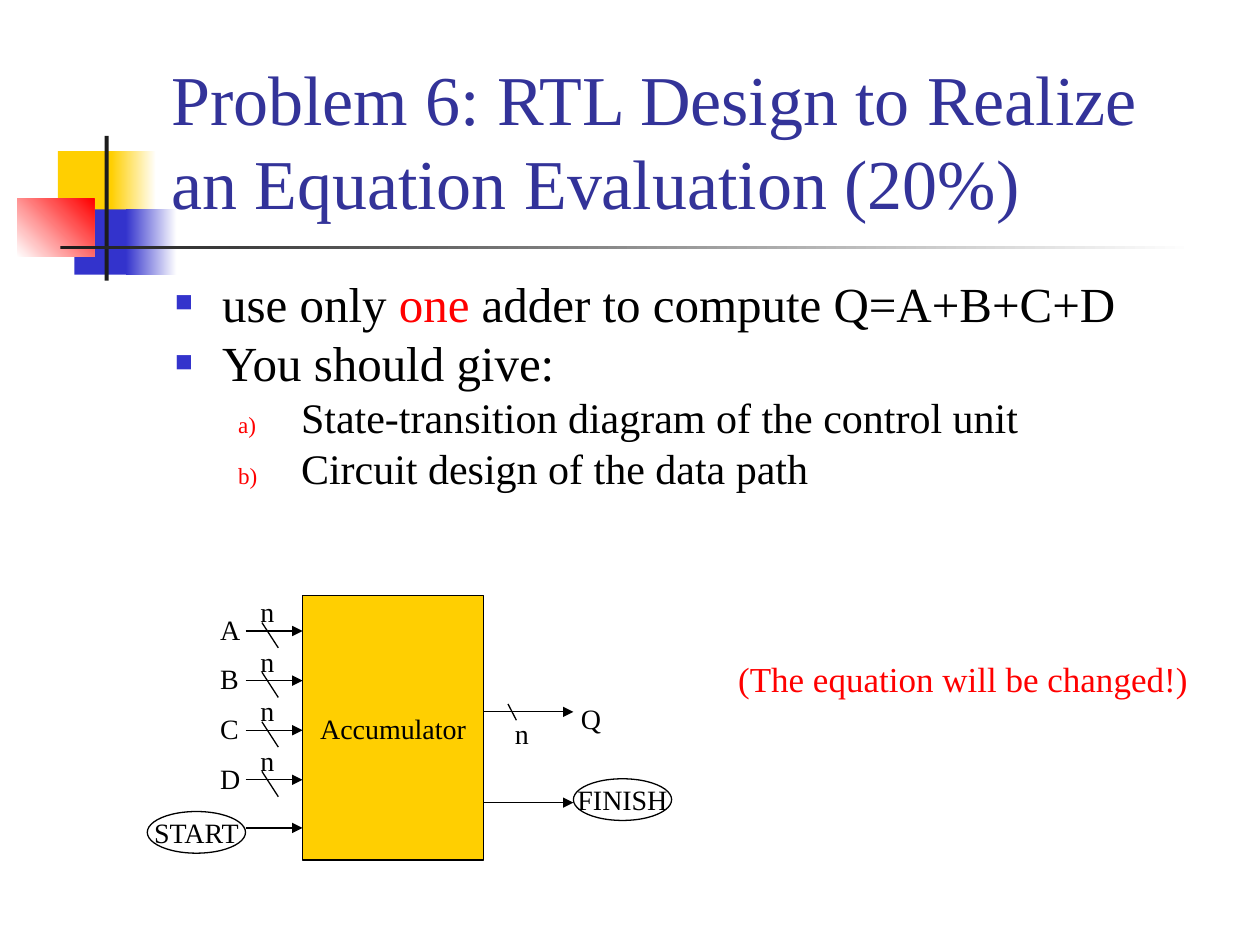
from lxml import etree
from pptx import Presentation
from pptx.dml.color import RGBColor
from pptx.enum.shapes import MSO_CONNECTOR, MSO_SHAPE
from pptx.enum.text import MSO_ANCHOR, PP_ALIGN
from pptx.oxml.ns import qn
from pptx.util import Cm, Pt

RECTANGLE, OVAL = MSO_SHAPE.RECTANGLE, MSO_SHAPE.OVAL
STRAIGHT = MSO_CONNECTOR.STRAIGHT
TOP, MIDDLE, BOTTOM = MSO_ANCHOR.TOP, MSO_ANCHOR.MIDDLE, MSO_ANCHOR.BOTTOM
CENTER = PP_ALIGN.CENTER

FONT = "Times New Roman"
BLACK = RGBColor(0x00, 0x00, 0x00)
WHITE = RGBColor(0xFF, 0xFF, 0xFF)
CHARCOAL = RGBColor(0x1C, 0x1C, 0x1C)
YELLOW = RGBColor(0xFF, 0xCF, 0x01)
BLUE = RGBColor(0x33, 0x33, 0xCC)
NAVY = RGBColor(0x33, 0x33, 0x99)
RED = RGBColor(0xFF, 0x00, 0x00)

BLOCK_LEFT, BLOCK_RIGHT = 6.1, 9.75
FIRST_INPUT_Y, INPUT_STEP = 12.72, 1.0
SUM_Y, START_Y, FINISH_Y = 14.35, 16.69, 16.18
WIRE_LEFT, WIRE_RIGHT = 4.95, 11.56
OVAL_WIDTH, OVAL_HEIGHT = 1.98, 0.84


def add_run(paragraph, text, size, color):
    run = paragraph.add_run()
    run.text = text
    run.font.name = FONT
    run.font.size = Pt(size)
    run.font.color.rgb = color


def add_panel(shapes, left, top, width, height, colors, angle=0):
    """Borderless rectangle, solid for one colour and graded for two."""
    panel = shapes.add_shape(RECTANGLE, Cm(left), Cm(top), Cm(width), Cm(height))
    panel.shadow.inherit = False
    panel.line.fill.background()
    if len(colors) == 1:
        panel.fill.solid()
        panel.fill.fore_color.rgb = colors[0]
        return
    panel.fill.gradient()
    panel.fill.gradient_angle = angle
    for stop, color in zip(panel.fill.gradient_stops, colors):
        stop.color.rgb = color


def add_text_box(shapes, left, top, width, height, wrap=True, anchor=TOP):
    box = shapes.add_textbox(Cm(left), Cm(top), Cm(width), Cm(height))
    frame = box.text_frame
    frame.word_wrap = wrap
    frame.vertical_anchor = anchor
    return frame


def add_label(shapes, text, left, top, width=0.9, height=0.94, size=16, color=BLACK):
    frame = add_text_box(shapes, left, top, width, height, wrap=False)
    add_run(frame.paragraphs[0], text, size, color)


def add_block(shapes, preset, text, left, top, width, height, fill=None):
    """Outlined shape of the diagram with a centred caption."""
    block = shapes.add_shape(preset, Cm(left), Cm(top), Cm(width), Cm(height))
    block.shadow.inherit = False
    if fill is None:
        block.fill.background()
    else:
        block.fill.solid()
        block.fill.fore_color.rgb = fill
    block.line.color.rgb = BLACK
    block.line.width = Pt(0.75)
    frame = block.text_frame
    frame.word_wrap = False
    frame.vertical_anchor = MIDDLE
    frame.paragraphs[0].alignment = CENTER
    add_run(frame.paragraphs[0], text, 16, BLACK)


def add_line(shapes, x1, y1, x2, y2, arrow=False):
    line = shapes.add_connector(STRAIGHT, Cm(x1), Cm(y1), Cm(x2), Cm(y2))
    line.line.color.rgb = BLACK
    line.line.width = Pt(0.75)
    if arrow:
        outline = line.line._get_or_add_ln()
        etree.SubElement(outline, qn("a:tailEnd"), type="triangle")
    etree.SubElement(line._element.spPr, qn("a:effectLst"))


def add_bullet(paragraph, color, percent, margin, hanging, tag, **marker):
    properties = paragraph._p.get_or_add_pPr()
    properties.set("marL", str(Cm(margin)))
    properties.set("indent", str(-Cm(hanging)))
    bullet_color = etree.SubElement(properties, qn("a:buClr"))
    etree.SubElement(bullet_color, qn("a:srgbClr"), val=str(color))
    etree.SubElement(properties, qn("a:buSzPct"), val=str(percent * 1000))
    etree.SubElement(properties, qn("a:buFont"), typeface=FONT)
    etree.SubElement(properties, qn(tag), **marker)


def add_decoration(shapes):
    add_panel(shapes, 1.17, 3.05, 1.22, 1.32, [YELLOW])
    add_panel(shapes, 2.24, 3.05, 0.91, 1.32, [YELLOW, WHITE])
    add_panel(shapes, 1.5, 4.22, 1.17, 1.32, [BLUE])
    add_panel(shapes, 2.54, 4.22, 1.02, 1.32, [BLUE, WHITE])
    add_panel(shapes, 0.35, 4.01, 1.55, 1.17, [WHITE, RED], angle=45)
    add_panel(shapes, 2.11, 2.74, 0.08, 2.92, [CHARCOAL])
    add_panel(shapes, 1.22, 4.95, 22.86, 0.08, [CHARCOAL, WHITE])


def add_title(shapes):
    frame = add_text_box(shapes, 3.2, 0.58, 21.64, 4.06, anchor=BOTTOM)
    add_run(frame.paragraphs[0],
            "Problem 6: RTL Design to Realize an Equation Evaluation (20%)", 40, NAVY)


def add_task_list(shapes):
    frame = add_text_box(shapes, 3.28, 5.61, 21.59, 4.78)
    items = [
        (0, [("use only ", BLACK), ("one", RED), (" adder to compute Q=A+B+C+D", BLACK)]),
        (0, [("You should give:", BLACK)]),
        (1, [("State-transition diagram of the control unit", BLACK)]),
        (1, [("Circuit design of the data path", BLACK)]),
    ]
    for index, (level, parts) in enumerate(items):
        paragraph = frame.add_paragraph() if index else frame.paragraphs[0]
        paragraph.level = level
        paragraph.line_spacing = 0.8
        if index:
            paragraph.space_before = Pt(6 if level else 7)
        if level:
            add_bullet(paragraph, RED, 55, 2.54, 1.27, "a:buAutoNum", type="alphaLcParenR")
        else:
            add_bullet(paragraph, BLUE, 60, 0.95, 0.95, "a:buChar", char="■")
        for text, color in parts:
            add_run(paragraph, text, 24 if level else 28, color)


def add_input(shapes, name, y):
    """Named n-bit wire into the accumulator."""
    add_line(shapes, WIRE_LEFT, y, BLOCK_LEFT, y, arrow=True)
    add_line(shapes, 5.28, y - 0.17, 5.61, y + 0.34)
    add_label(shapes, "n", 5, y - 0.86, width=0.79)
    add_label(shapes, name, 4.19, y - 0.5)


def add_accumulator(shapes):
    add_block(shapes, RECTANGLE, "Accumulator", BLOCK_LEFT, 12.01,
              BLOCK_RIGHT - BLOCK_LEFT, 5.33, YELLOW)
    for row, name in enumerate("ABCD"):
        add_input(shapes, name, FIRST_INPUT_Y + row * INPUT_STEP)

    add_line(shapes, WIRE_LEFT, START_Y, BLOCK_LEFT, START_Y, arrow=True)
    add_block(shapes, OVAL, "START", WIRE_LEFT - OVAL_WIDTH, 16.36, OVAL_WIDTH, OVAL_HEIGHT)

    add_line(shapes, BLOCK_RIGHT, SUM_Y, WIRE_RIGHT, SUM_Y, arrow=True)
    add_line(shapes, 10.24, SUM_Y - 0.16, 10.41, SUM_Y + 0.17)
    add_label(shapes, "n", 10.13, 14.33, width=0.79)
    add_label(shapes, "Q", 11.46, 14.02)

    add_line(shapes, BLOCK_RIGHT, FINISH_Y, WIRE_RIGHT, FINISH_Y, arrow=True)
    add_block(shapes, OVAL, "FINISH", WIRE_RIGHT, 15.7, OVAL_WIDTH, OVAL_HEIGHT)


def main():
    presentation = Presentation()
    presentation.slide_width, presentation.slide_height = Cm(25.4), Cm(19.05)
    slide = presentation.slides.add_slide(presentation.slide_layouts[6])
    shapes = slide.shapes
    add_decoration(shapes)
    add_title(shapes)
    add_task_list(shapes)
    add_accumulator(shapes.add_group_shape().shapes)
    add_label(shapes, "(The equation will be changed!)", 14.63, 13.13, 9.58, 1.12, 20, RED)
    presentation.save("out.pptx")


if __name__ == "__main__":
    main()
